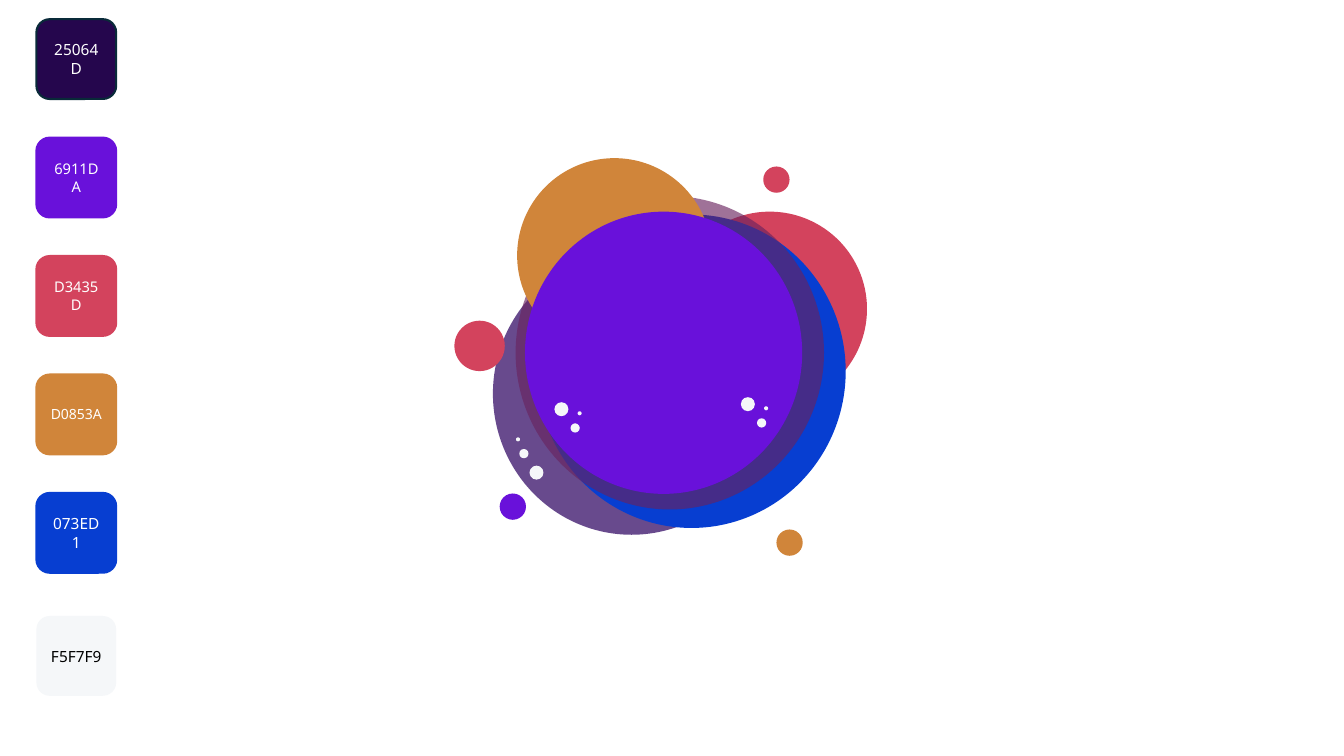
from pptx import Presentation
from pptx.dml.color import RGBColor
from pptx.enum import shapes, text
from pptx.oxml import ns
from pptx.util import Pt
from lxml import etree

NIGHT = RGBColor(0x25, 0x06, 0x4D)
NIGHT_EDGE = RGBColor(0x09, 0x2A, 0x39)
VIOLET = RGBColor(0x69, 0x11, 0xDA)
RED = RGBColor(0xD3, 0x43, 0x5D)
OCHRE = RGBColor(0xD0, 0x85, 0x3A)
BLUE = RGBColor(0x07, 0x3E, 0xD1)
MIST = RGBColor(0xF5, 0xF7, 0xF9)
INDIGO = RGBColor(0x30, 0x07, 0x64)
PLUM = RGBColor(0x69, 0x23, 0x5F)
WHITE = RGBColor(0xFF, 0xFF, 0xFF)
BLACK = RGBColor(0, 0, 0)

SWATCH_LEFT, SWATCH_TOP, SWATCH_STEP, SWATCH_SIZE = 26, 13.7, 84.6, 57
LAST_SWATCH_TOP = 440

# fill, outline, text colour, text size
SWATCHES = [
    (NIGHT, NIGHT_EDGE, WHITE, 11),
    (VIOLET, VIOLET, WHITE, 10.5),
    (RED, RED, WHITE, 10.5),
    (OCHRE, OCHRE, WHITE, 10),
    (BLUE, BLUE, WHITE, 11),
    (MIST, None, BLACK, 11),
]

# left, top, width, height, fill, opacity in percent; back to front
DISCS = [
    (480.3, 151.2, 139, 139, RED, 100),
    (352.1, 180.4, 198, 201.6, INDIGO, 73),
    (383.8, 153.2, 220.3, 223.9, BLUE, 100),
    (368.3, 140, 220.3, 223.9, PLUM, 64),
    (369.4, 113, 139, 139, OCHRE, 100),
    (375, 151.2, 198, 201.6, VIOLET, 100),
]

# left, top, diameter, fill
SATELLITES = [
    (545.2, 118.9, 18.8, RED),
    (324.6, 229.1, 36, RED),
    (554.6, 378.2, 18.8, OCHRE),
    (356.9, 352.5, 18.8, VIOLET),
]

# Diameters of the bubbles in each sparkle, and their offsets from its corner
BUBBLE_SIZES = [10, 6.6, 2.9]
RISING_RIGHT = [(0, 0), (11.5, 15.1), (16.6, 6.5)]
RISING_LEFT = [(0, 0), (-7.3, -11.9), (-9.6, -20.2)]
SPARKLES = [
    (378.2, 332.6, RISING_LEFT),
    (529.2, 283.7, RISING_RIGHT),
    (396, 287.3, RISING_RIGHT),
]


def style_shape(shape, fill, outline=None):
    shape.shadow.inherit = False
    shape.fill.solid()
    shape.fill.fore_color.rgb = fill
    if outline is None:
        shape.line.fill.background()
    else:
        shape.line.color.rgb = outline
        shape.line.width = Pt(1.5)


def add_swatch(slide, top, fill, outline, text_color, text_size):
    swatch = slide.shapes.add_shape(
        shapes.MSO_SHAPE.ROUNDED_RECTANGLE,
        Pt(SWATCH_LEFT), Pt(top), Pt(SWATCH_SIZE), Pt(SWATCH_SIZE))
    style_shape(swatch, fill, outline)
    frame = swatch.text_frame
    frame.word_wrap = True
    frame.vertical_anchor = text.MSO_ANCHOR.MIDDLE
    paragraph = frame.paragraphs[0]
    paragraph.text = str(fill)
    paragraph.alignment = text.PP_ALIGN.CENTER
    paragraph.font.name = "Noto Sans"
    paragraph.font.size = Pt(text_size)
    paragraph.font.color.rgb = text_color


def add_disc(group, left, top, width, height, fill, opacity=100):
    disc = group.shapes.add_shape(
        shapes.MSO_SHAPE.OVAL, Pt(left), Pt(top), Pt(width), Pt(height))
    style_shape(disc, fill)
    if opacity < 100:
        color = disc.fill._xPr.find(ns.qn("a:solidFill"))[0]
        etree.SubElement(color, ns.qn("a:alpha"), val=str(opacity * 1000))


def add_sparkle(group, left, top, offsets):
    for size, (dx, dy) in zip(BUBBLE_SIZES, offsets):
        add_disc(group, left + dx, top + dy, size, size, MIST)


def main():
    presentation = Presentation()
    presentation.slide_width = Pt(960)
    presentation.slide_height = Pt(540)
    slide = presentation.slides.add_slide(presentation.slide_layouts[6])

    # Palette column
    for index, swatch in enumerate(SWATCHES):
        is_last = index == len(SWATCHES) - 1
        top = LAST_SWATCH_TOP if is_last else SWATCH_TOP + index * SWATCH_STEP
        add_swatch(slide, top, *swatch)

    # Overlapping discs with satellites and sparkles
    emblem = slide.shapes.add_group_shape()
    for disc in DISCS:
        add_disc(emblem, *disc)
    for left, top, diameter, fill in SATELLITES:
        add_disc(emblem, left, top, diameter, diameter, fill)
    for sparkle in SPARKLES:
        add_sparkle(emblem, *sparkle)

    presentation.save("out.pptx")


if __name__ == "__main__":
    main()
